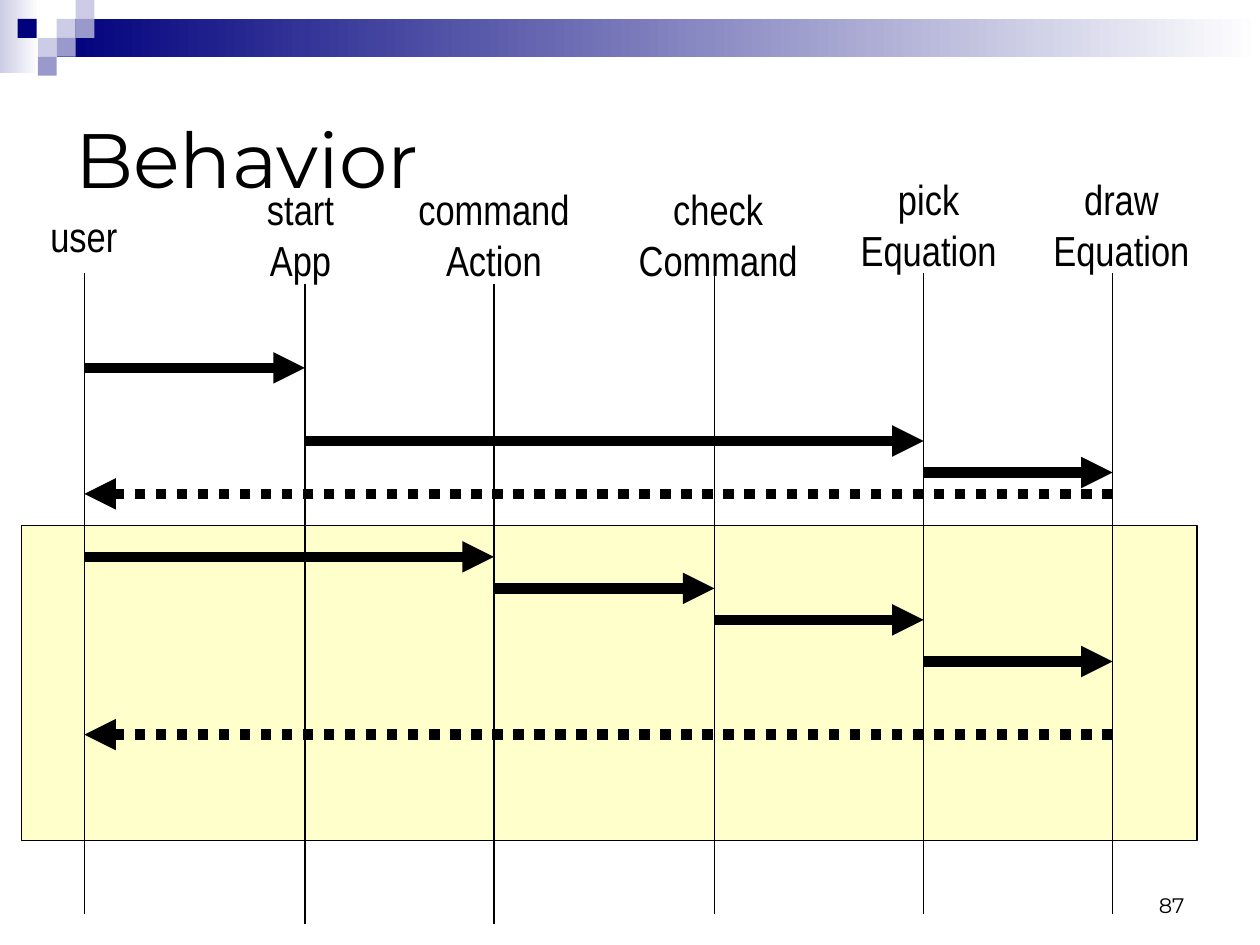
from pptx import Presentation
from pptx.dml.color import RGBColor
from pptx.enum.dml import MSO_LINE
from pptx.enum.shapes import MSO_CONNECTOR, MSO_SHAPE
from pptx.enum.text import MSO_ANCHOR, PP_ALIGN
from pptx.oxml.ns import qn
from pptx.util import Inches, Pt
from lxml import etree

RECTANGLE = MSO_SHAPE.RECTANGLE
STRAIGHT = MSO_CONNECTOR.STRAIGHT
DOTTED = MSO_LINE.ROUND_DOT
LEFT, CENTER, RIGHT = PP_ALIGN.LEFT, PP_ALIGN.CENTER, PP_ALIGN.RIGHT
TOP, MIDDLE, BOTTOM = MSO_ANCHOR.TOP, MSO_ANCHOR.MIDDLE, MSO_ANCHOR.BOTTOM

BLACK = RGBColor(0x00, 0x00, 0x00)
WHITE = RGBColor(0xFF, 0xFF, 0xFF)
NAVY = RGBColor(0x00, 0x00, 0x7D)
LAVENDER = RGBColor(0xCC, 0xCC, 0xE6)
PERIWINKLE = RGBColor(0x99, 0x99, 0xCC)
CREAM = RGBColor(0xFF, 0xFF, 0xCC)

# name: (lifeline x, lifeline top, label left, label top, label width, label)
PARTICIPANTS = {
    "user": (0.67, 2.17, 0.3, 1.62, 0.73, "user"),
    "start": (2.42, 2.25, 2.02, 1.41, 0.73, "start\vApp"),
    "command": (3.92, 2.25, 3.22, 1.41, 1.4, "command\vAction"),
    "check": (5.67, 2.17, 4.97, 1.41, 1.46, "check\vCommand"),
    "pick": (7.33, 2.17, 6.73, 1.33, 1.28, "pick\vEquation"),
    "draw": (8.83, 2.17, 8.26, 1.33, 1.28, "draw\vEquation"),
}
LIFELINE_LENGTH = 5.08

# caller, callee, y
CALLS = [
    ("user", "start", 2.92),
    ("start", "pick", 3.5),
    ("pick", "draw", 3.75),
    ("user", "command", 4.42),
    ("command", "check", 4.67),
    ("check", "pick", 4.92),
    ("pick", "draw", 5.25),
]
RETURNS = [("draw", "user", 3.92), ("draw", "user", 5.83)]

TILE = 0.15
TILES = [
    (0.45, 0.15, LAVENDER),
    (0.6, 0, LAVENDER),
    (0.6, 0.15, PERIWINKLE),
    (0.3, 0.3, LAVENDER),
    (0.14, 0.15, NAVY),
    (0.45, 0.3, PERIWINKLE),
    (0.3, 0.45, PERIWINKLE),
]


class SequenceSlide:
    heading_font = "Montserrat"
    label_font = "Arial Narrow"
    thin, thick = Pt(0.75), Pt(6)

    def __init__(self, slide):
        self.shapes = slide.shapes

    def rectangle(self, left, top, width, height, fill, fade_to=None, outline=None):
        """Fill with one colour, or fade from left to right."""
        box = self.shapes.add_shape(
            RECTANGLE, Inches(left), Inches(top), Inches(width), Inches(height))
        box.shadow.inherit = False
        if fade_to is None:
            box.fill.solid()
            box.fill.fore_color.rgb = fill
        else:
            box.fill.gradient()
            box.fill.gradient_angle = 0
            for stop, color, position in zip(box.fill.gradient_stops, (fill, fade_to), (0, 1)):
                stop.color.rgb = color
                stop.position = position
        if outline is None:
            box.line.fill.background()
        else:
            box.line.color.rgb = outline
            box.line.width = self.thin

    def text(self, content, left, top, width, height, *, font, size,
             align=LEFT, anchor=TOP, wrap=True):
        frame = self.shapes.add_textbox(
            Inches(left), Inches(top), Inches(width), Inches(height)).text_frame
        frame.word_wrap = wrap
        frame.vertical_anchor = anchor
        frame.text = content
        paragraph = frame.paragraphs[0]
        paragraph.alignment = align
        paragraph.font.name = font
        paragraph.font.size = Pt(size)
        paragraph.font.color.rgb = BLACK

    def line(self, start_x, start_y, end_x, end_y, width):
        connector = self.shapes.add_connector(
            STRAIGHT, Inches(start_x), Inches(start_y), Inches(end_x), Inches(end_y))
        connector.line.color.rgb = BLACK
        connector.line.width = width
        etree.SubElement(connector.line._get_or_add_ln().getparent(), qn("a:effectLst"))
        return connector

    def message(self, sender, receiver, y, dash=None):
        """Arrow between two lifelines."""
        arrow = self.line(PARTICIPANTS[sender][0], y, PARTICIPANTS[receiver][0], y, self.thick)
        if dash is not None:
            arrow.line.dash_style = dash
        etree.SubElement(arrow.line._get_or_add_ln(), qn("a:tailEnd"), type="triangle")


def main():
    deck = Presentation()
    deck.slide_width, deck.slide_height = Inches(10), Inches(7.5)
    page = SequenceSlide(deck.slides.add_slide(deck.slide_layouts[6]))

    page.rectangle(0, 0, 0.31, 0.58, LAVENDER, fade_to=WHITE)
    page.rectangle(0.45, 0.15, 9.55, 0.3, NAVY, fade_to=WHITE)
    for left, top, color in TILES:
        page.rectangle(left, top, TILE, TILE, color)

    page.text("Behavior", 0.5, 0.5, 9, 1.5, font=page.heading_font, size=44, anchor=MIDDLE)
    page.rectangle(0.17, 4.17, 9.33, 2.5, CREAM, outline=BLACK)

    for x, line_top, left, top, width, label in PARTICIPANTS.values():
        height = 0.9 if "\v" in label else 0.5
        page.text(label, left, top, width, height, font=page.label_font, size=24,
                  align=CENTER, wrap=False)
        page.line(x, line_top, x, line_top + LIFELINE_LENGTH, page.thin)

    for call in CALLS:
        page.message(*call)
    for reply in RETURNS:
        page.message(*reply, dash=DOTTED)

    page.text("87", 7.17, 6.83, 2.33, 0.5, font=page.heading_font, size=12,
              align=RIGHT, anchor=BOTTOM)
    deck.save("out.pptx")


if __name__ == "__main__":
    main()
